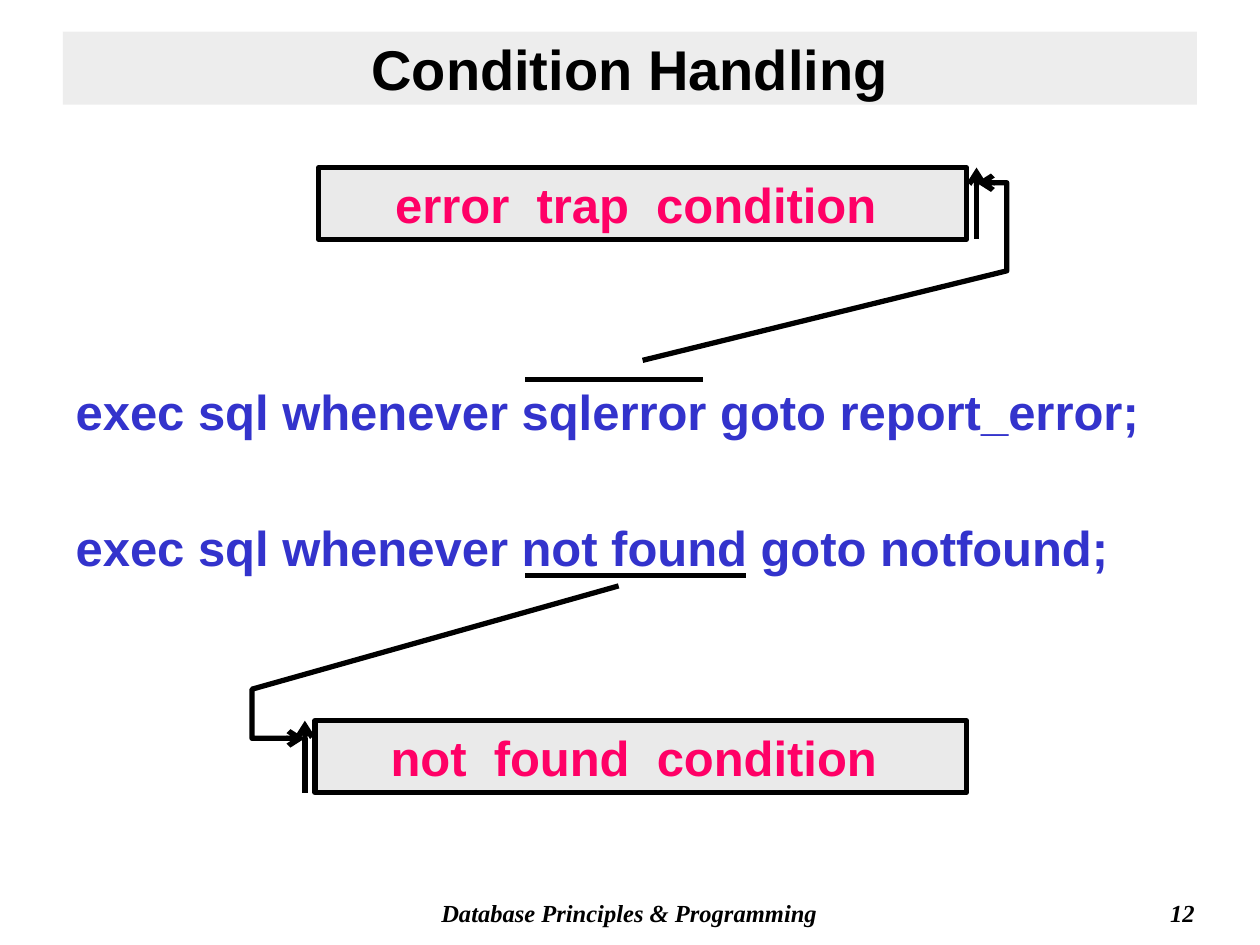
from pptx import Presentation
from pptx.dml.color import RGBColor
from pptx.enum.shapes import MSO_CONNECTOR as Connector, MSO_SHAPE as Shape
from pptx.enum.text import MSO_ANCHOR as Anchor, PP_ALIGN as Align
from pptx.oxml.ns import qn
from pptx.util import Inches, Pt
from lxml.etree import SubElement

COLORS = {
    "ink": "000000",
    "title_band": "DDDDDD",
    "box": "EAEAEA",
    "code": "3333CC",
    "condition": "FF0066",
}


class SlideBuilder:
    """Holds the style and the current slide, and adds each kind of element."""

    def __init__(self, slide, font="Arial", footer_font="Times New Roman", line_width=3):
        self.slide = slide
        self.font = font
        self.footer_font = footer_font
        self.line_width = line_width

    def color(self, name):
        return RGBColor.from_string(COLORS[name])

    def add_text(self, paragraph, text, size, color, align, font=None, italic=False):
        paragraph.alignment = align
        run = paragraph.add_run()
        run.text = text
        run.font.name = font or self.font
        run.font.size = Pt(size)
        run.font.bold = True
        run.font.italic = italic
        run.font.color.rgb = self.color(color)

    def stroke(self, shape, arrow=False):
        shape.line.color.rgb = self.color("ink")
        shape.line.width = Pt(self.line_width)
        if arrow:
            outline = shape._element.spPr.find(qn("a:ln"))
            SubElement(outline, qn("a:headEnd"), type="arrow")

    def text_box(self, left, top, width, height):
        shape = self.slide.shapes.add_textbox(
            Inches(left), Inches(top), Inches(width), Inches(height))
        shape.text_frame.word_wrap = True
        return shape.text_frame

    def footer(self, left, width, text, align):
        frame = self.text_box(left, 7.08, width, 0.33)
        self.add_text(frame.paragraphs[0], text, 14, "ink", align, self.footer_font, True)

    def rectangle(self, left, top, width, height, fill, text, size, color):
        shape = self.slide.shapes.add_shape(
            Shape.RECTANGLE, Inches(left), Inches(top), Inches(width), Inches(height))
        shape.shadow.inherit = False
        shape.fill.solid()
        shape.fill.fore_color.rgb = self.color(fill)
        shape.line.fill.background()
        frame = shape.text_frame
        frame.word_wrap = True
        frame.vertical_anchor = Anchor.MIDDLE
        self.add_text(frame.paragraphs[0], text, size, color, Align.CENTER)
        return shape

    def title(self, text):
        band = self.rectangle(0.5, 0.25, 9, 0.58, "title_band", text, 32, "ink")
        fill = band._element.spPr.find(qn("a:solidFill"))
        SubElement(fill[0], qn("a:alpha"), val="50000")

    def statements(self, lines):
        frame = self.text_box(0, 2.76, 10, 1.92)
        frame.margin_left = Inches(0.6)
        frame.margin_top = frame.margin_bottom = Inches(0.13)
        for index, line in enumerate(lines):
            paragraph = frame.add_paragraph() if index else frame.paragraphs[0]
            paragraph.line_spacing = 1.3
            paragraph.space_before = Pt(34 if index else 0)
            self.add_text(paragraph, line, 28, "code", Align.LEFT)

    def line(self, start, end, arrow=False):
        connector = self.slide.shapes.add_connector(
            Connector.STRAIGHT, *(Inches(value) for value in (*start, *end)))
        self.stroke(connector, arrow)
        SubElement(connector._element.spPr, qn("a:effectLst"))

    def pointer(self, points):
        start, *rest = [(Inches(x), Inches(y)) for x, y in points]
        builder = self.slide.shapes.build_freeform(*start)
        builder.add_line_segments(rest, close=False)
        shape = builder.convert_to_shape()
        shape.shadow.inherit = False
        shape.fill.background()
        self.stroke(shape, arrow=True)

    def callout(self, left, top, text, pointer, underline):
        right, height = 7.67, 0.57
        box = self.rectangle(left, top, right - left, height, "box", text, 28, "condition")
        self.stroke(box)
        self.pointer(pointer)
        bar = pointer[0][0]
        self.line((bar, top), (bar, top + height), arrow=True)
        self.line(*underline)


def main():
    presentation = Presentation()
    presentation.slide_width = Inches(10)
    presentation.slide_height = Inches(7.5)
    builder = SlideBuilder(presentation.slides.add_slide(presentation.slide_layouts[6]))
    builder.footer(2.83, 4.33, "Database Principles & Programming", Align.CENTER)
    builder.footer(7.5, 2.08, "12", Align.RIGHT)
    builder.title("Condition Handling")
    builder.statements([
        "exec sql whenever sqlerror goto report_error;",
        "exec sql whenever not found goto notfound;",
    ])
    builder.callout(
        2.53, 1.33, "error  trap  condition ",
        [(7.75, 1.45), (7.99, 1.45), (7.99, 2.15), (5.1, 2.86)],
        [(4.17, 3.01), (5.58, 3.01)])
    builder.callout(
        2.5, 5.72, "not  found  condition ",
        [(2.42, 5.86), (2, 5.86), (2, 5.47), (4.91, 4.65)],
        [(4.17, 4.57), (5.92, 4.57)])
    presentation.save("out.pptx")


if __name__ == "__main__":
    main()
